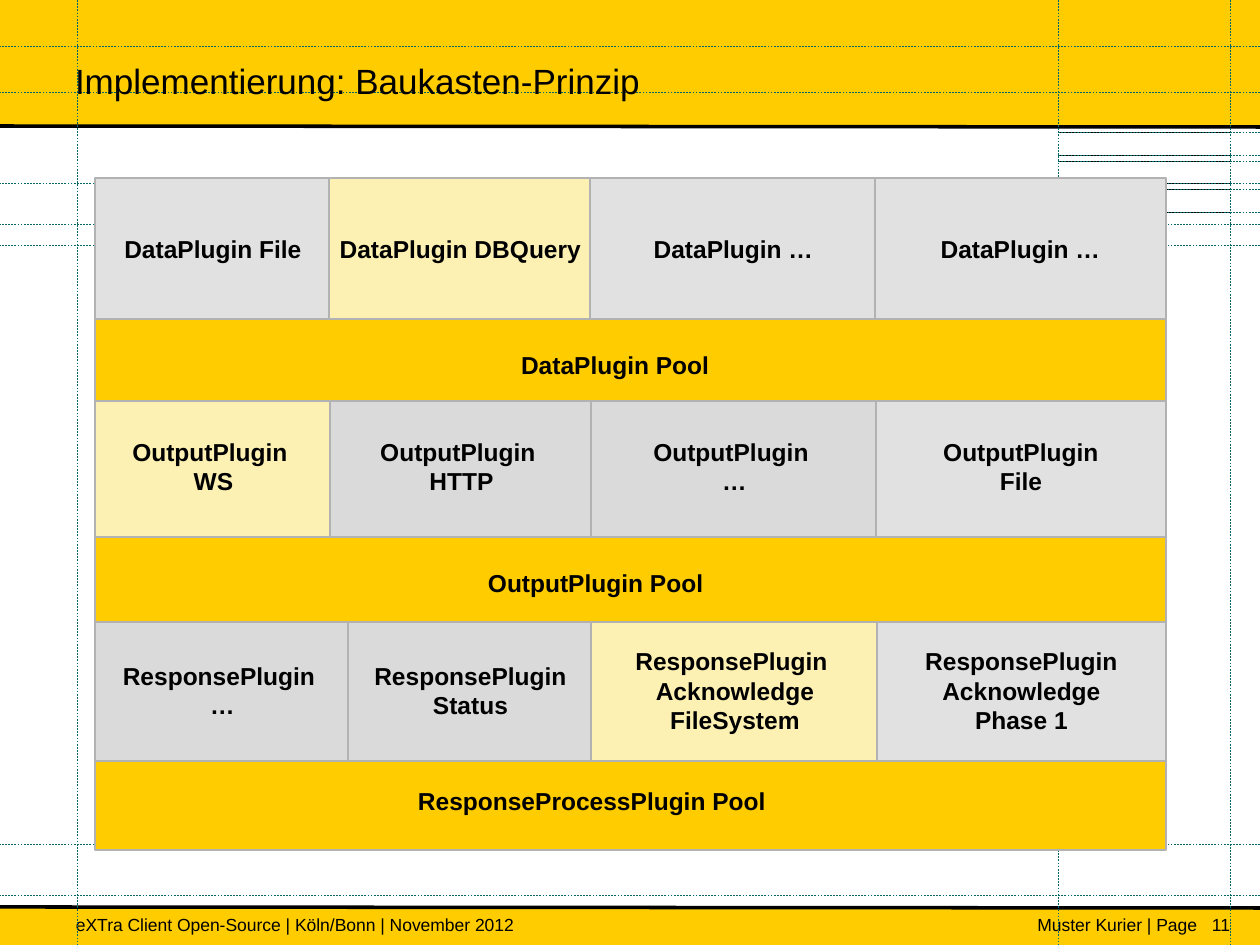
from lxml import etree
from pptx import Presentation
from pptx.dml.color import RGBColor
from pptx.enum.dml import MSO_LINE
from pptx.enum.shapes import MSO_CONNECTOR, MSO_SHAPE
from pptx.enum.text import MSO_ANCHOR, MSO_AUTO_SIZE, PP_ALIGN
from pptx.oxml.ns import qn
from pptx.util import Pt

RECT, STRAIGHT, DASH = MSO_SHAPE.RECTANGLE, MSO_CONNECTOR.STRAIGHT, MSO_LINE.DASH
LEFT, MID, RIGHT = PP_ALIGN.LEFT, PP_ALIGN.CENTER, PP_ALIGN.RIGHT
SCALE = 914400 / 126  # EMU in one px
WIDE, HIGH = 1260, 945
PAD = 20
FONT = "Arial"
COLORS = {
    "gold": "FFCC00", "pale": "FCF0B2", "light": "E1E1E1", "gray": "DADADA",
    "edge": "B2B2B2", "teal": "006666", "black": "000000", "white": "FFFFFF",
}

# Content
TITLE = "Implementierung: Baukasten-Prinzip"
# text, box, alignment
FOOTER = [
    ("Muster Kurier | Page", (827, 914, 370, 21), RIGHT),
    ("eXTra Client Open-Source | Köln/Bonn | November 2012", (76, 914, 679, 21), LEFT),
    ("11", (1111, 914, 119, 25), RIGHT),
]
# Layers from back to front; cells hold text and fill, edges their left sides
LAYERS = [
    {"pool": "ResponseProcessPlugin Pool", "label": (398, 766, 519, 69),
     "top": 621, "tall": 229, "edges": (95, 348, 591, 877),
     "cells": [("ResponsePlugin \n…", "gray"), ("ResponsePlugin\nStatus", "gray"),
               ("ResponsePlugin \nAcknowledge\nFileSystem", "pale"),
               ("ResponsePlugin\nAcknowledge\nPhase 1", "light")]},
    {"pool": "OutputPlugin Pool", "label": (468, 548, 440, 69),
     "top": 397, "tall": 225, "edges": (95, 330, 591, 876),
     "cells": [("OutputPlugin \nWS", "pale"), ("OutputPlugin \nHTTP", "gray"),
               ("OutputPlugin \n…", "gray"), ("OutputPlugin\nFile", "light")]},
    {"pool": "DataPlugin Pool", "label": (501, 330, 362, 69),
     "top": 179, "tall": 222, "edges": (95, 329, 590, 875),
     "cells": [("DataPlugin File", "light"), ("DataPlugin DBQuery", "pale"),
               ("DataPlugin …", "light"), ("DataPlugin …", "light")]},
]
STACK_L, STACK_R, CELL_H, LAP = 95, 1166, 141, 2

# Guide lines of the background
BAR_L, BAR_R = 1058, 1230
BARS = [132, 155, 161, 183, 189, 212]
COLUMNS = [BAR_L, BAR_R, 77]
ROWS = [46, 844, 92, 224, 183, 895, 245]
STUBS = [155, 132, 161, 212, 189]


def px(n):
    return round(n * SCALE)


def color(name):
    return RGBColor.from_string(COLORS[name])


def line(x1, y1, x2, y2, tint, width, dash=None):
    rule = shapes.add_connector(STRAIGHT, px(x1), px(y1), px(x2), px(y2))
    rule.line.color.rgb = color(tint)
    rule.line.width = Pt(width)
    if dash:
        rule.line.dash_style = dash
    etree.SubElement(rule._element.spPr, qn("a:effectLst"))


def rect(box, fill, edge=None):
    shape = shapes.add_shape(RECT, *map(px, box))
    shape.shadow.inherit = False
    shape.fill.solid()
    shape.fill.fore_color.rgb = color(fill)
    if edge:
        shape.line.color.rgb = color(edge)
        shape.line.width = Pt(0.75)
    else:
        shape.line.fill.background()
    return shape


def write(shape, text, size, align, bold=False, pad=0, anchor=MSO_ANCHOR.TOP, wrap=True):
    frame = shape.text_frame
    frame.auto_size = MSO_AUTO_SIZE.NONE
    frame.word_wrap = wrap
    frame.vertical_anchor = anchor
    frame.margin_left = frame.margin_right = px(pad)
    frame.margin_top = frame.margin_bottom = px(pad)
    for i, words in enumerate(text.split("\n")):
        para = frame.add_paragraph() if i else frame.paragraphs[0]
        para.alignment = align
        run = para.add_run()
        run.text = words
        run.font.name, run.font.size, run.font.bold = FONT, Pt(size), bold
        run.font.color.rgb = color("black")


def label(box, *args, **opts):
    write(shapes.add_textbox(*map(px, box)), *args, **opts)


prs = Presentation()
prs.slide_width, prs.slide_height = px(WIDE), px(HIGH)
slide = prs.slides.add_slide(prs.slide_layouts[5])
shapes = slide.shapes

# Gold ground, white page area, footer and heavy rules
slide.background.fill.solid()
slide.background.fill.fore_color.rgb = color("gold")
line(0, 126, WIDE, 126, "gold", 0.75)
rect((0, 128, WIDE, 779), "white")
for text, box, align in FOOTER:
    label(box, text, 10, align)
for y in (126, 907):
    line(0, y, WIDE, y + 1, "black", 2)

# Guide lines
for y in BARS:
    line(BAR_L, y, BAR_R, y, "black", 0.25)
for x in COLUMNS:
    line(x, 0, x, HIGH, "teal", 0.25, DASH)
for start, levels in ((0, ROWS), (BAR_L, STUBS)):
    for y in levels:
        line(WIDE, y, start, y, "teal", 0.25, DASH)

# Title, brought in front of the guides
title = shapes.title
title.left, title.top, title.width, title.height = map(px, (75, 55, 971, 47))
write(title, TITLE, 20, LEFT, anchor=MSO_ANCHOR.BOTTOM)
title.text_frame.paragraphs[0].line_spacing = 1.1
title._element.getparent().append(title._element)

# Plugin layers, each a pool with a row of cells on top
for layer in LAYERS:
    top, edges = layer["top"], layer["edges"]
    rect((STACK_L, top, STACK_R - STACK_L, layer["tall"]), "gold", "edge")
    ends = [x + LAP for x in edges[1:]] + [STACK_R]
    for (text, fill), x, end in zip(layer["cells"], edges, ends):
        cell = rect((x, top - 1, end - x, CELL_H), fill, "edge")
        write(cell, text, 14, MID, True, PAD, MSO_ANCHOR.MIDDLE, False)
    label(layer["label"], layer["pool"], 14, LEFT, True, PAD)

prs.save("out.pptx")
